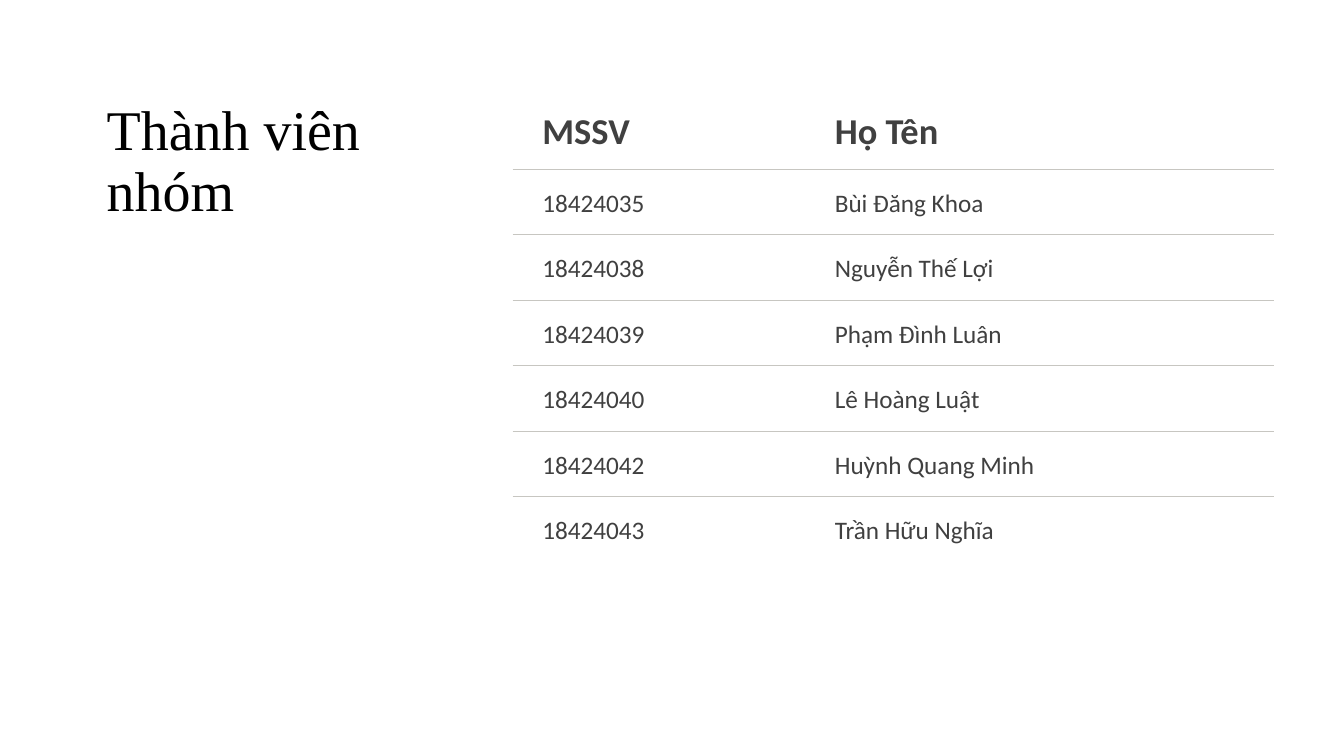
from pptx import Presentation
from pptx.dml.color import RGBColor
from pptx.enum.text import MSO_ANCHOR
from pptx.oxml import parse_xml
from pptx.oxml.ns import nsdecls
from pptx.util import Inches, Pt


def paint(para, size, font, color, bold=False):
    for run in para.runs:
        run.font.size = Pt(size)
        run.font.name = font
        run.font.bold = bold
        run.font.color.rgb = RGBColor.from_string(color)


def rule(cell, side, color):
    cell._tc.get_or_add_tcPr().append(parse_xml(
        f'<a:{side} {nsdecls("a")} w="{Pt(0.75)}"><a:solidFill>'
        f'<a:srgbClr val="{color}"/></a:solidFill></a:{side}>'))


deck = Presentation()
deck.slide_width, deck.slide_height = Inches(13.33), Inches(7.5)
slide = deck.slides.add_slide(deck.slide_layouts[6])

# Title
title = slide.shapes.add_textbox(Inches(0.96), Inches(0.7), Inches(3.48), Inches(1.83))
frame = title.text_frame
frame.word_wrap = True
frame.vertical_anchor = MSO_ANCHOR.MIDDLE
frame.text = "Thành viên nhóm"
frame.paragraphs[0].line_spacing = 0.9
paint(frame.paragraphs[0], 40, "Times New Roman", "000000")

# Member table
members = [
    ("MSSV", "Họ Tên"),
    ("18424035", "Bùi Đăng Khoa"),
    ("18424038", "Nguyễn Thế Lợi"),
    ("18424039", "Phạm Đình Luân"),
    ("18424040", "Lê Hoàng Luật"),
    ("18424042", "Huỳnh Quang Minh"),
    ("18424043", "Trần Hữu Nghĩa"),
]
last = len(members) - 1
table = slide.shapes.add_table(
    len(members), 2, Inches(5.09), Inches(0.88), Inches(7.54), Inches(4.7)).table
table.first_row = table.horz_banding = False
table.columns[0].width, table.columns[1].width = Inches(2.9), Inches(4.64)

for row, member in enumerate(members):
    head = row == 0
    table.rows[row].height = Inches(0.8 if head else 0.65)
    for col, text in enumerate(member):
        cell = table.cell(row, col)
        cell.margin_left, cell.margin_right = Inches(0.29), Inches(0.22)
        cell.margin_top = cell.margin_bottom = Inches(0.14)
        cell.text_frame.text = text
        para = cell.text_frame.paragraphs[0]
        para.line_spacing = 1.15
        paint(para, 26 if head else 18, "Calibri", "404040", head)
        # Thin rules between rows only
        if not head:
            rule(cell, "lnT", "C7C6C1")
        if row < last:
            rule(cell, "lnB", "C7C6C1")
        cell.fill.background()

deck.save("out.pptx")
